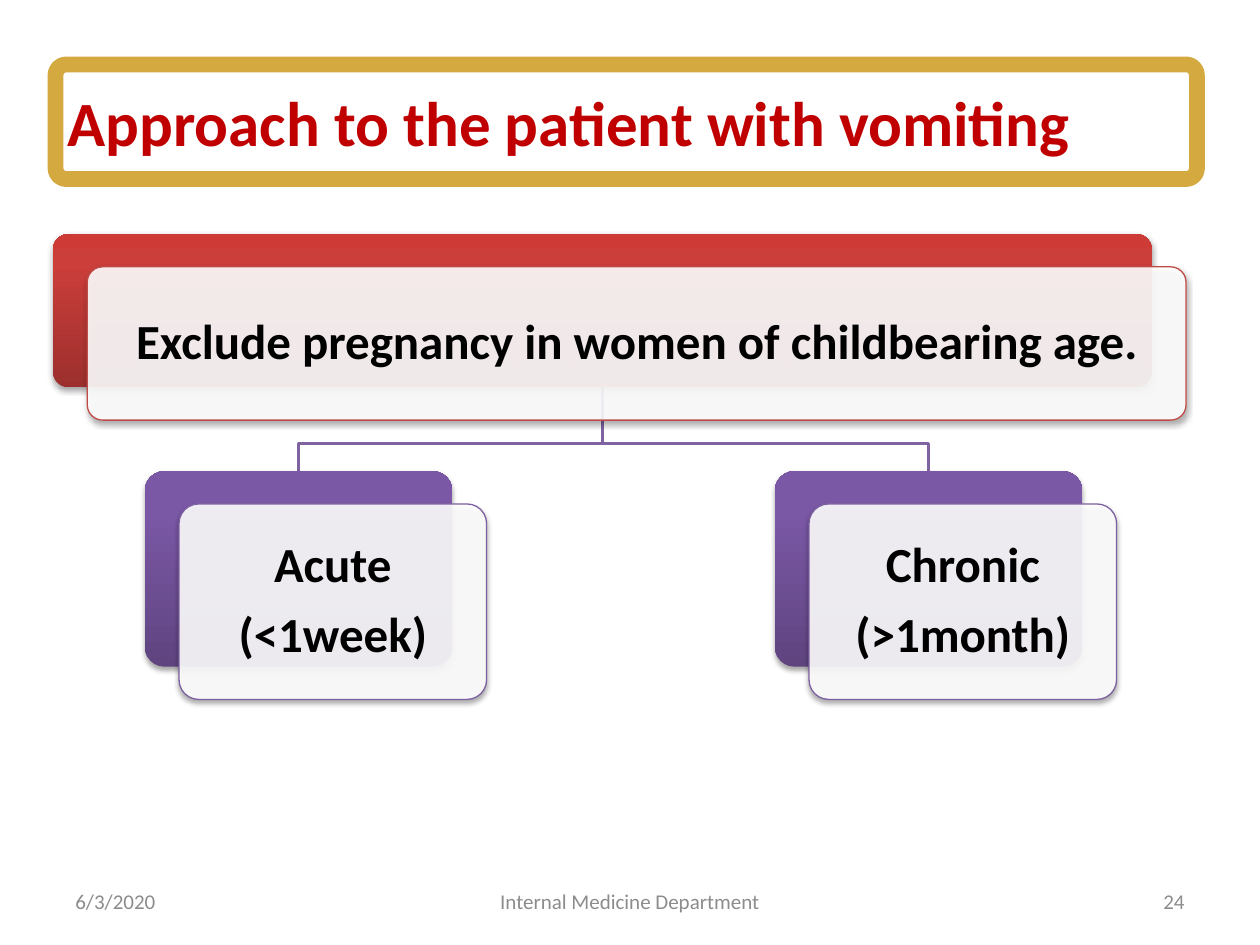
from lxml import etree
from pptx import Presentation
from pptx.dml.color import RGBColor
from pptx.enum.shapes import MSO_SHAPE
from pptx.enum.text import MSO_ANCHOR, MSO_AUTO_SIZE, PP_ALIGN
from pptx.oxml import parse_xml
from pptx.util import Cm, Pt

ROUNDED = MSO_SHAPE.ROUNDED_RECTANGLE
MIDDLE = MSO_ANCHOR.MIDDLE
LEFT, CENTER, RIGHT = PP_ALIGN.LEFT, PP_ALIGN.CENTER, PP_ALIGN.RIGHT
A_NS = "http://schemas.openxmlformats.org/drawingml/2006/main"
FONT = "Calibri"

COLORS = {
    "white": "FFFFFF", "black": "000000", "title": "C00000",
    "frame": "D4A940", "branch": "8064A2", "footer": "8C8C8C",
    "red_edge": "BF4C48", "purple_edge": "7D60A0",
}
# Gradient stops from bottom to top
RED = ((0, "9C2F2D"), (80, "CB3E3A"), (100, "CE3B37"))
PURPLE = ((0, "5F4480"), (80, "7B58A6"), (100, "7C57A8"))

# Offset of each front card from its back panel, in cm
CARD_DX, CARD_DY = 0.69, 0.66


def rgb(name):
    return RGBColor.from_string(COLORS[name])


def style(paragraph, size, color, bold=False, align=CENTER):
    paragraph.alignment = align
    font = paragraph.font
    font.name, font.size, font.bold = FONT, Pt(size), bold
    font.color.rgb = rgb(color)


def add_rounded(slide, left, top, width, height, corner=0.1):
    shape = slide.shapes.add_shape(ROUNDED, Cm(left), Cm(top), Cm(width), Cm(height))
    shape.adjustments[0] = corner
    shape.shadow.inherit = False
    shape.fill.solid()
    shape.fill.fore_color.rgb = rgb("white")
    return shape


def add_shadow(shape):
    effects = shape._element.spPr.find(f"{{{A_NS}}}effectLst")
    effects.append(parse_xml(
        f'<a:outerShdw xmlns:a="{A_NS}" blurRad="{Pt(3.1)}" dist="{Pt(1.8)}" '
        'dir="5400000" rotWithShape="0"><a:srgbClr val="000000">'
        '<a:alpha val="35000"/></a:srgbClr></a:outerShdw>'))


def fill_gradient(shape, stops):
    stop_xml = "".join(
        f'<a:gs pos="{position * 1000}"><a:srgbClr val="{color}"/></a:gs>'
        for position, color in stops)
    gradient = parse_xml(
        f'<a:gradFill xmlns:a="{A_NS}" rotWithShape="1"><a:gsLst>{stop_xml}</a:gsLst>'
        '<a:lin ang="16200000" scaled="0"/></a:gradFill>')
    properties = shape._element.spPr
    properties.replace(properties.find(f"{{{A_NS}}}solidFill"), gradient)


def add_node(slide, left, top, width, height, stops, edge, lines):
    """Gradient panel with a white text card shifted down and right."""
    panel = add_rounded(slide, left, top, width, height)
    panel.line.fill.background()
    fill_gradient(panel, stops)
    add_shadow(panel)

    card = add_rounded(slide, left + CARD_DX, top + CARD_DY, width, height)
    card_color = card._element.spPr.find(f"{{{A_NS}}}solidFill")[0]
    etree.SubElement(card_color, f"{{{A_NS}}}alpha", val="90000")
    card.line.color.rgb = rgb(edge)
    card.line.width = Pt(0.75)
    add_shadow(card)

    frame = card.text_frame
    frame.word_wrap = True
    frame.vertical_anchor = MIDDLE
    frame.margin_left = frame.margin_right = Cm(0.42)
    frame.margin_top = frame.margin_bottom = Cm(0.42)
    for index, line in enumerate(lines):
        paragraph = frame.paragraphs[0] if index == 0 else frame.add_paragraph()
        paragraph.text = line
        paragraph.line_spacing = 0.9
        paragraph.space_after = Pt(9.8)
        style(paragraph, 28, "black", bold=True)


def add_branch(slide, start_x, start_y, end_x, end_y):
    bend_y = start_y + (end_y - start_y) * 0.67
    builder = slide.shapes.build_freeform(Cm(start_x), Cm(start_y))
    corners = ((start_x, bend_y), (end_x, bend_y), (end_x, end_y))
    builder.add_line_segments([(Cm(x), Cm(y)) for x, y in corners], close=False)
    branch = builder.convert_to_shape()
    branch.shadow.inherit = False
    branch.fill.background()
    branch.line.color.rgb = rgb("branch")
    branch.line.width = Pt(2)


def set_title(slide, text):
    border = add_rounded(slide, 1.12, 1.3, 23.01, 2.31, corner=0.094)
    border.line.color.rgb = rgb("frame")
    border.line.width = Pt(9)

    title = slide.shapes.title
    title.left, title.top, title.width, title.height = Cm(1.07), Cm(1.68), Cm(20.8), Cm(1.52)
    title.text_frame.text = text
    title.text_frame.auto_size = MSO_AUTO_SIZE.NONE
    title.text_frame.vertical_anchor = MIDDLE
    style(title.text_frame.paragraphs[0], 36, "title", bold=True)
    # Bring the title in front of its border
    slide.shapes._spTree.append(title._element)


def add_footer(slide, left, width, text, align):
    box = slide.shapes.add_textbox(Cm(left), Cm(17.65), Cm(width), Cm(1.02))
    box.text_frame.word_wrap = True
    box.text_frame.vertical_anchor = MIDDLE
    box.text_frame.text = text
    style(box.text_frame.paragraphs[0], 12, "footer", align=align)


def main():
    prs = Presentation()
    prs.slide_width, prs.slide_height = Cm(25.4), Cm(19.05)
    slide = prs.slides.add_slide(prs.slide_layouts[5])

    set_title(slide, "Approach to the patient with vomiting")

    # Decision tree: branches lie behind the nodes
    root_left, root_top, root_width, root_height = 1.07, 4.72, 22.15, 3.09
    child_top, child_width, child_height = 9.5, 6.2, 3.94
    children = (
        (2.92, ("Acute", "(<1week)")),
        (15.62, ("Chronic", "(>1month)")),
    )
    for left, _ in children:
        add_branch(slide, root_left + root_width / 2, root_top + root_height,
                   left + child_width / 2, child_top)
    add_node(slide, root_left, root_top, root_width, root_height, RED, "red_edge",
             ("Exclude pregnancy in women of childbearing age.",))
    for left, lines in children:
        add_node(slide, left, child_top, child_width, child_height,
                 PURPLE, "purple_edge", lines)

    # Footer
    add_footer(slide, 1.27, 5.92, "6/3/2020", LEFT)
    add_footer(slide, 8.68, 8.04, "Internal Medicine Department", CENTER)
    add_footer(slide, 18.21, 5.92, "24", RIGHT)

    prs.save("out.pptx")


if __name__ == "__main__":
    main()
